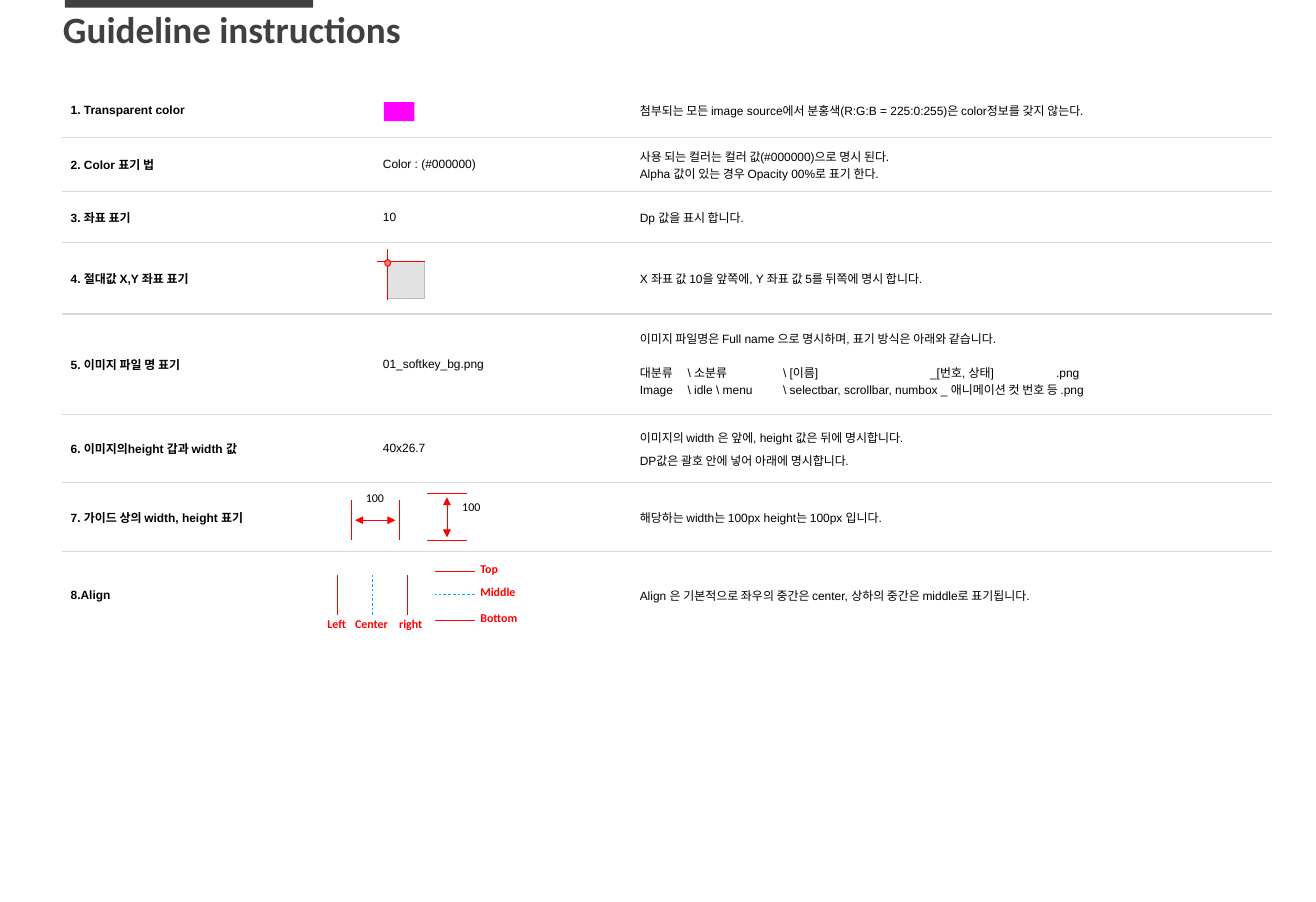
from dataclasses import dataclass
from lxml.etree import SubElement
from pptx import Presentation
from pptx.dml.color import RGBColor
from pptx.enum.dml import MSO_LINE
from pptx.enum.shapes import MSO_CONNECTOR, MSO_SHAPE
from pptx.enum.text import MSO_ANCHOR, PP_ALIGN
from pptx.oxml.ns import qn
from pptx.util import Inches, Pt


@dataclass(frozen=True)
class Theme:
    dark: str = "404040"
    black: str = "000000"
    white: str = "FFFFFF"
    rule: str = "D9D9D9"
    red: str = "FF0000"
    blue: str = "00B0F0"
    pink: str = "FF00FF"
    square: str = "E2E2E2"
    square_edge: str = "BBBBBB"
    dot: str = "FF7F7F"
    heading_font: str = "Calibri"
    body_font: str = "Arial"
    title_size: float = 28
    body_size: float = 9
    half_line: float = 4.5


theme = Theme()
deck = Presentation()
deck.slide_width, deck.slide_height = Inches(13.78), Inches(9.45)
page = deck.slides.add_slide(deck.slide_layouts[6])


def style(para, font, size, color, bold=False):
    para.font.name, para.font.size, para.font.bold = font, Pt(size), bold
    para.font.color.rgb = RGBColor.from_string(color)


def draw_line(x1, y1, x2, y2, color=theme.red, width=0.5, dashed=False, arrows=False):
    line = page.shapes.add_connector(
        MSO_CONNECTOR.STRAIGHT, Inches(x1), Inches(y1), Inches(x2), Inches(y2))
    line.line.color.rgb = RGBColor.from_string(color)
    line.line.width = Pt(width)
    if dashed:
        line.line.dash_style = MSO_LINE.DASH
    if arrows:
        for end in ("a:headEnd", "a:tailEnd"):
            SubElement(line.line._get_or_add_ln(), qn(end), type="triangle")
    SubElement(line._element.spPr, qn("a:effectLst"))


# Title
title = page.shapes.add_textbox(Inches(0.66), Inches(0.07), Inches(6.9), Inches(1.41))
title.text_frame.margin_left = title.text_frame.margin_right = 0
title.text_frame.word_wrap = False
title.text_frame.text = "Guideline instructions"
title_para = title.text_frame.paragraphs[0]
title_para.line_spacing = 0.9
style(title_para, theme.heading_font, theme.title_size, theme.dark, True)

# Table of rules: row height, name, example, description lines, space between lines
rows = [
    (0.56, "1. Transparent color", "",
     ["첨부되는 모든 image source에서 분홍색(R:G:B = 225:0:255)은 color정보를 갖지 않는다."], [0]),
    (0.57, "2. Color 표기 법", "Color : (#000000)",
     ["사용 되는 컬러는 컬러 값(#000000)으로 명시 된다.",
      "Alpha 값이 있는 경우 Opacity 00%로 표기 한다."], [0, 0]),
    (0.53, "3. 좌표 표기", "10", ["Dp 값을 표시 합니다."], [0]),
    (0.75, "4. 절대값 X,Y 좌표 표기", "",
     ["X 좌표 값 10을 앞쪽에, Y 좌표 값 5를 뒤쪽에 명시 합니다."], [0]),
    (1.05, "5. 이미지 파일 명 표기", "01_softkey_bg.png",
     ["이미지 파일명은 Full name 으로 명시하며, 표기 방식은 아래와 같습니다.",
      "대분류\t\\ 소분류\t\\ [이름]\t_[번호, 상태]\t.png",
      "Image\t\\ idle \\ menu\t\\ selectbar, scrollbar, numbox _ 애니메이션 컷 번호 등 .png"],
     [0, 12, 0]),
    (0.72, "6. 이미지의height 갑과 width 값", "40x26.7",
     ["이미지의 width 은 앞에, height 값은 뒤에 명시합니다.",
      "DP값은 괄호 안에 넣어 아래에 명시합니다."], [0, theme.half_line]),
    (0.72, "7. 가이드 상의 width, height 표기", "",
     ["해당하는 width는 100px height는 100px 입니다."], [0]),
    (0.92, "8.Align", "",
     ["Align 은 기본적으로 좌우의 중간은 center, 상하의 중간은 middle로 표기됩니다."], [0]),
]
file_name_tabs = (0.5, 1.5, 3.04, 4.36)
column_widths = (3.27, 2.69, 6.69)
table = page.shapes.add_table(
    len(rows), 3, Inches(0.66), Inches(0.88),
    Inches(sum(column_widths)), Inches(sum(row[0] for row in rows))).table
table.first_row = table.horz_banding = False
for column, width in zip(table.columns, column_widths):
    column.width = Inches(width)

for r, (height, name, example, description, gaps) in enumerate(rows):
    table.rows[r].height = Inches(height)
    borders = {
        "a:lnL": theme.white,
        "a:lnR": theme.white,
        "a:lnT": theme.rule if r else theme.white,
        "a:lnB": theme.rule if r < len(rows) - 1 else theme.white,
    }
    for c, lines in enumerate(([name], [example], description)):
        cell = table.cell(r, c)
        cell.vertical_anchor = MSO_ANCHOR.MIDDLE
        cell.margin_left = cell.margin_right = Inches(0.08)
        cell.margin_top = cell.margin_bottom = Inches(0.04)
        cell.text_frame.text = "\n".join(lines)
        for para, gap in zip(cell.text_frame.paragraphs, gaps):
            para.space_before = Pt(gap)
            if "\t" in para.text:
                stops = SubElement(para._p.get_or_add_pPr(), qn("a:tabLst"))
                for stop in file_name_tabs:
                    SubElement(stops, qn("a:tab"), pos=str(Inches(stop)), algn="l")
            style(para, theme.body_font, theme.body_size, theme.black, c == 0)
        cell_format = cell._tc.get_or_add_tcPr()
        for side, color in borders.items():
            edge = SubElement(cell_format, qn(side), w=str(Pt(1)))
            SubElement(SubElement(edge, qn("a:solidFill")), qn("a:srgbClr"), val=color)
        cell.fill.background()

# Coordinate cross lines lie between the square and its dot
shapes = [
    (MSO_SHAPE.RECTANGLE, 0.68, 0, 2.6, 0.08, theme.dark, None),
    (MSO_SHAPE.RECTANGLE, 4.02, 1.07, 0.32, 0.2, theme.pink, None),
    (MSO_SHAPE.RECTANGLE, 4.06, 2.74, 0.39, 0.39, theme.square, theme.square_edge),
    (MSO_SHAPE.OVAL, 4.03, 2.72, 0.06, 0.07, theme.dot, theme.red),
]
for kind, left, top, width, height, fill, edge in shapes:
    if kind == MSO_SHAPE.OVAL:
        draw_line(3.95, 2.74, 4.45, 2.74, width=0.75)
        draw_line(4.06, 2.61, 4.06, 3.14, width=0.75)
    shape = page.shapes.add_shape(
        kind, Inches(left), Inches(top), Inches(width), Inches(height))
    shape.shadow.inherit = False
    shape.fill.solid()
    shape.fill.fore_color.rgb = RGBColor.from_string(fill)
    if edge:
        shape.line.color.rgb = RGBColor.from_string(edge)
        shape.line.width = Pt(0.75)
    else:
        shape.line.fill.background()

# Width and height dimensions
for x in (3.68, 4.18):
    draw_line(x, 5.24, x, 5.66)
draw_line(4.14, 5.45, 3.72, 5.45, arrows=True)
for y in (5.17, 5.66):
    draw_line(4.89, y, 4.47, y)
draw_line(4.68, 5.21, 4.68, 5.63, arrows=True)

# Alignment guides, the middle one dashed
for x, y, middle in ((3.53, 5.99, False), (3.9, 6.23, True), (4.27, 6.5, False)):
    color = theme.blue if middle else theme.red
    draw_line(x, 6.02, x, 6.44, color, dashed=middle)
    draw_line(4.97, y, 4.55, y, color, dashed=middle)

# Dimension and alignment labels
labels = [
    ("100", 3.73, 5.16, 0.39, PP_ALIGN.CENTER),
    ("100", 4.74, 5.25, 0.39, PP_ALIGN.CENTER),
    ("Left", 3.34, 6.49, 0.37, PP_ALIGN.CENTER),
    ("Center", 3.63, 6.49, 0.52, PP_ALIGN.CENTER),
    ("right", 4.09, 6.49, 0.42, PP_ALIGN.CENTER),
    ("Top", 4.95, 5.91, 0.4, PP_ALIGN.LEFT),
    ("Middle", 4.95, 6.15, 0.57, PP_ALIGN.LEFT),
    ("Bottom", 4.95, 6.42, 0.59, PP_ALIGN.LEFT),
]
for text, left, top, width, alignment in labels:
    is_number = text.isdigit()
    box = page.shapes.add_textbox(Inches(left), Inches(top), Inches(width), Inches(0.16))
    frame = box.text_frame
    frame.word_wrap = False
    frame.margin_left = frame.margin_right = Inches(0.1 if is_number else 0.08)
    frame.margin_top = frame.margin_bottom = Inches(0.05 if is_number else 0.04)
    frame.text = text
    para = frame.paragraphs[0]
    para.alignment, para.line_spacing = alignment, 0.5
    para.space_before = Pt(theme.half_line)
    style(para, theme.heading_font, theme.body_size,
          theme.black if is_number else theme.red, not is_number)

deck.save("out.pptx")
